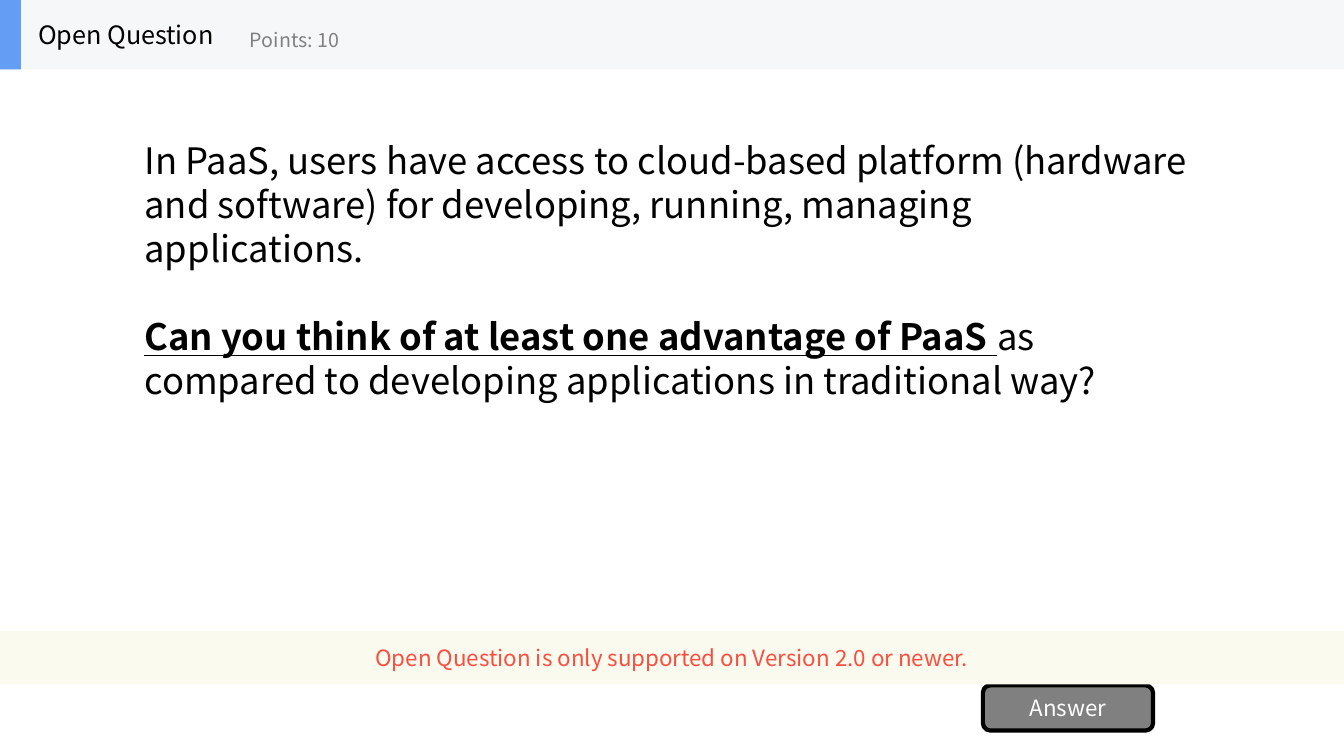
from pptx import Presentation
from pptx.dml.color import RGBColor
from pptx.enum.shapes import MSO_SHAPE
from pptx.enum.text import MSO_ANCHOR, PP_ALIGN
from pptx.util import Cm, Pt

RECTANGLE = MSO_SHAPE.RECTANGLE
ROUNDED = MSO_SHAPE.ROUNDED_RECTANGLE
MIDDLE = MSO_ANCHOR.MIDDLE
LEFT, CENTER = PP_ALIGN.LEFT, PP_ALIGN.CENTER

FONT = "Noto Sans CJK SC"
BLACK = RGBColor(0x00, 0x00, 0x00)
WHITE = RGBColor(0xFF, 0xFF, 0xFF)
GRAY = RGBColor(0x80, 0x80, 0x80)
HEADER_GRAY = RGBColor(0xF6, 0xF7, 0xF8)
ACCENT_BLUE = RGBColor(0x63, 0x9E, 0xF4)
NOTICE_CREAM = RGBColor(0xFB, 0xFA, 0xEF)
NOTICE_RED = RGBColor(0xF8, 0x4F, 0x41)

SLIDE_WIDTH, SLIDE_HEIGHT = Cm(33.87), Cm(19.05)
HEADER_HEIGHT = Cm(1.75)
QUESTION_SIZE = 26
QUESTION_PITCH = 31.4


def style_run(run, size, color):
    run.font.name = FONT
    run.font.size = Pt(size)
    run.font.color.rgb = color


def write_line(shape, text, size, color, alignment=LEFT):
    """Put one vertically centred line of text into a shape or text box."""
    text_frame = shape.text_frame
    text_frame.text = text
    text_frame.word_wrap = True
    text_frame.vertical_anchor = MIDDLE
    paragraph = text_frame.paragraphs[0]
    paragraph.alignment = alignment
    style_run(paragraph.runs[0], size, color)


def add_block(shapes, kind, left, top, width, height, fill):
    """Add a filled preset shape without outline or shadow."""
    shape = shapes.add_shape(kind, left, top, width, height)
    shape.shadow.inherit = False
    shape.fill.solid()
    shape.fill.fore_color.rgb = fill
    shape.line.fill.background()
    return shape


def add_question(slide):
    box = slide.shapes.add_textbox(Cm(3.39), Cm(2.38), Cm(27.09), Cm(8.82))
    text_frame = box.text_frame
    text_frame.word_wrap = True
    text_frame.vertical_anchor = MIDDLE
    text_frame.text = (
        "In PaaS, users have access to cloud-based platform (hardware and "
        "software) for developing, running, managing applications."
    )
    question = text_frame.add_paragraph()
    question.space_before = Pt(QUESTION_PITCH)
    question.text = "Can you think of at least one advantage of PaaS "
    question.runs[0].font.bold = True
    question.runs[0].font.underline = True
    question.add_run().text = "as compared to developing applications in traditional way?"
    for paragraph in text_frame.paragraphs:
        paragraph.line_spacing = Pt(QUESTION_PITCH)
        for run in paragraph.runs:
            style_run(run, QUESTION_SIZE, BLACK)


def add_answer_button(slide):
    button = add_block(slide.shapes, ROUNDED, Cm(24.77), Cm(17.27), Cm(4.29), Cm(1.14), GRAY)
    button.line.color.rgb = BLACK
    button.line.width = Pt(3)
    write_line(button, "Answer", 16, WHITE, CENTER)


def add_notice(slide):
    notice = add_block(slide.shapes, RECTANGLE, 0, Cm(15.9), SLIDE_WIDTH, Cm(1.35), NOTICE_CREAM)
    write_line(notice, "Open Question is only supported on Version 2.0 or newer.",
               16, NOTICE_RED, CENTER)


def add_header(slide):
    shapes = slide.shapes.add_group_shape().shapes
    add_block(shapes, RECTANGLE, 0, 0, SLIDE_WIDTH, HEADER_HEIGHT, HEADER_GRAY)
    add_block(shapes, RECTANGLE, 0, 0, Cm(0.53), HEADER_HEIGHT, ACCENT_BLUE)
    title = shapes.add_textbox(Cm(0.71), 0, Cm(5.28), HEADER_HEIGHT)
    write_line(title, "Open Question", 18, BLACK)
    points = shapes.add_textbox(Cm(6.05), Cm(0.3), Cm(6.35), Cm(1.42))
    write_line(points, "Points: 10", 14, GRAY)


def main():
    presentation = Presentation()
    presentation.slide_width = SLIDE_WIDTH
    presentation.slide_height = SLIDE_HEIGHT
    slide = presentation.slides.add_slide(presentation.slide_layouts[6])
    add_question(slide)
    add_answer_button(slide)
    add_notice(slide)
    add_header(slide)
    presentation.save("out.pptx")


if __name__ == "__main__":
    main()
